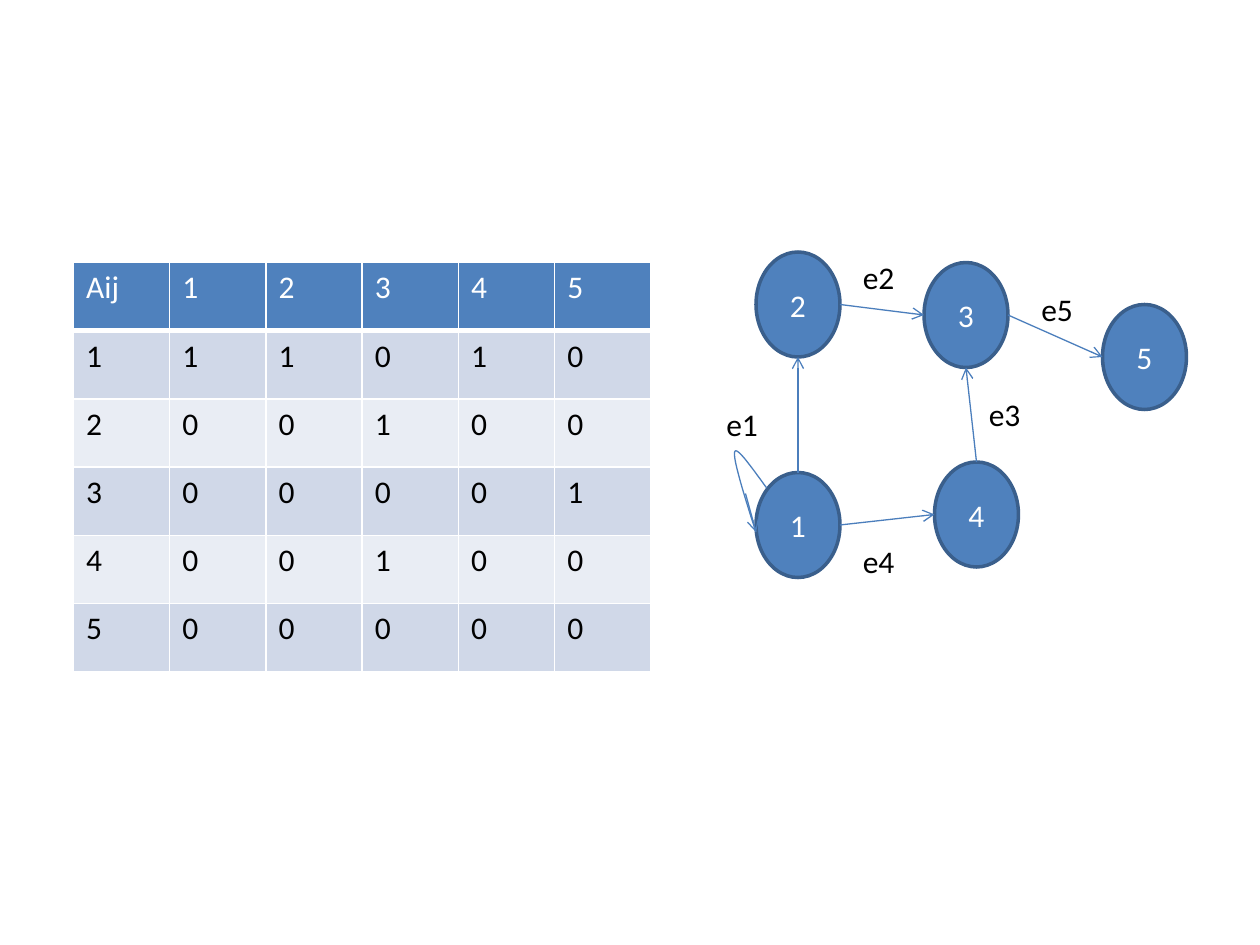
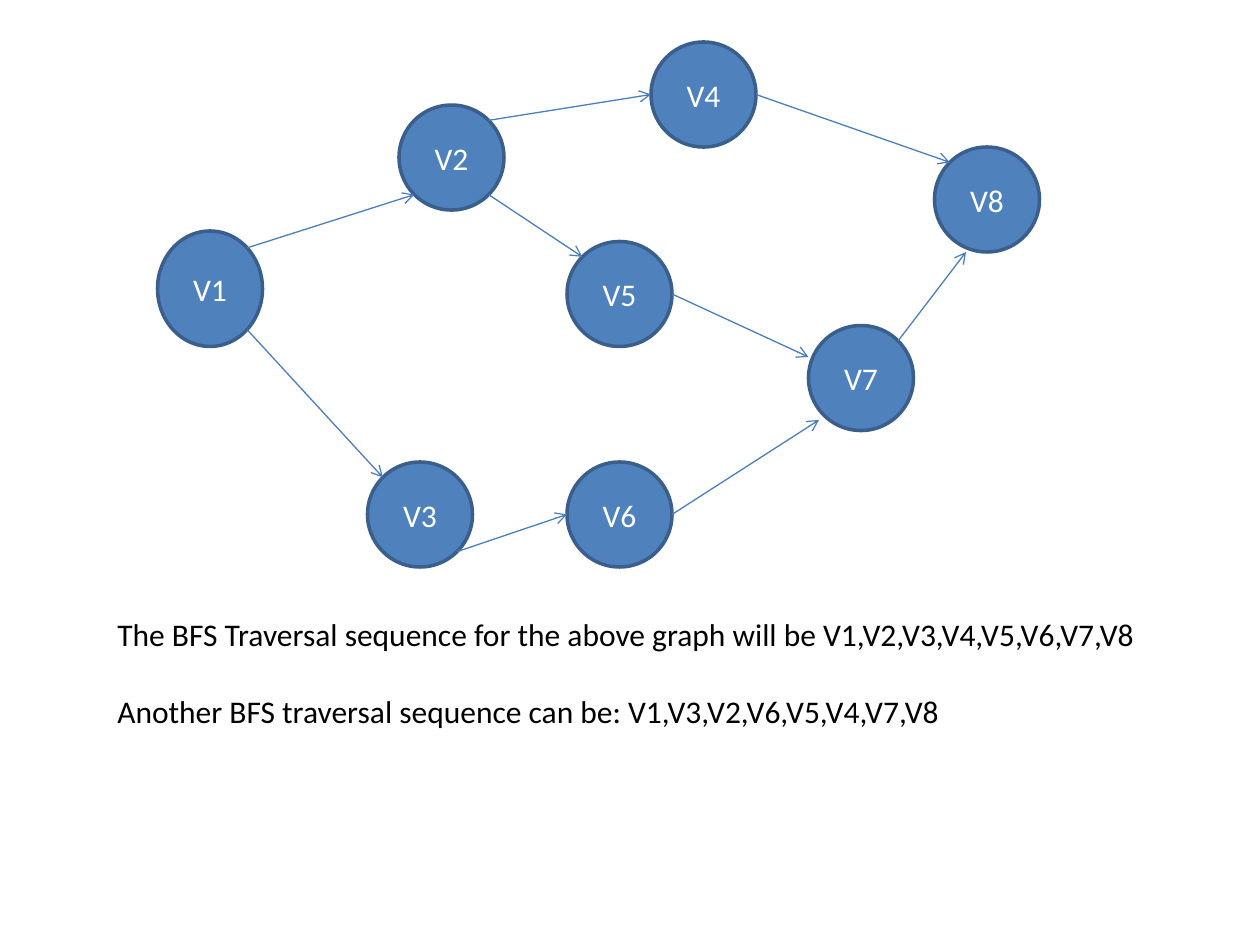
"""Build two slides on directed graphs: a matrix with its graph, and a BFS example."""
import dataclasses
import math
import typing

import lxml.etree
import pptx
import pptx.dml.color
import pptx.enum.shapes
import pptx.enum.text
import pptx.oxml.ns
import pptx.util

Pt = pptx.util.Pt
Point = tuple[float, float]

INK = {
    "node": "4F81BD", "rim": "3A5F8C", "edge": "4B7EBC", "odd": "D0D8E8",
    "even": "E9EDF4", "white": "FFFFFF", "black": "000000",
}
FONT = {"name": "Calibri", "size": Pt(18), "bold": False}
GROW = {"word_wrap": True, "auto_size": pptx.enum.text.MSO_AUTO_SIZE.SHAPE_TO_FIT_TEXT}
MIDDLE = {"word_wrap": True, "vertical_anchor": pptx.enum.text.MSO_ANCHOR.MIDDLE}
DIAG = math.sqrt(0.5)
SIDES = {
    "n": (0, -1), "e": (1, 0), "s": (0, 1), "w": (-1, 0),
    "ne": (DIAG, -DIAG), "se": (DIAG, DIAG), "sw": (-DIAG, DIAG), "nw": (-DIAG, -DIAG),
    "wnw": (-1, -0.4), "wsw": (-0.8, 0.8), "ssw": (-0.4, 1),
}


@dataclasses.dataclass
class Node:
    """An oval vertex of a graph."""
    name: str
    left: float
    top: float
    width: float = 60
    height: float = 60

    def spot(self, side: str) -> Point:
        """Give the point on the named side."""
        across, down = SIDES[side]
        return (self.left + self.width / 2 * (1 + across),
                self.top + self.height / 2 * (1 + down))


@dataclasses.dataclass
class Edge:
    """An arrow from a side of one node to a side of another."""
    start: str
    leave: str
    end: str
    enter: str


@dataclasses.dataclass
class Label:
    """A text box of one or more paragraphs."""
    lines: list[str]
    left: float
    top: float
    width: float = 42
    height: float = 29


def shade(name: str) -> pptx.dml.color.RGBColor:
    """Turn a colour name into a colour."""
    return pptx.dml.color.RGBColor.from_string(INK[name])


def apply(target: typing.Any, values: dict[str, typing.Any]) -> None:
    """Set each format value on the target."""
    for key, value in values.items():
        setattr(target, key, value)


def write(para: typing.Any, text: str, ink: str) -> None:
    """Write one styled run."""
    run = para.add_run()
    run.text = text
    apply(run.font, FONT)
    run.font.color.rgb = shade(ink)


def stroke(line: typing.Any, ink: str, width: float) -> None:
    """Style a line."""
    line.color.rgb = shade(ink)
    line.width = Pt(width)


def add_node(slide: typing.Any, node: Node) -> None:
    """Draw an oval with its name."""
    oval = slide.shapes.add_shape(
        pptx.enum.shapes.MSO_SHAPE.OVAL,
        *map(Pt, (node.left, node.top, node.width, node.height)))
    oval.shadow.inherit = False
    oval.fill.solid()
    oval.fill.fore_color.rgb = shade("node")
    stroke(oval.line, "rim", 2)
    apply(oval.text_frame, MIDDLE)
    para = oval.text_frame.paragraphs[0]
    para.alignment = pptx.enum.text.PP_ALIGN.CENTER
    write(para, node.name, "white")


def add_arrow(slide: typing.Any, start: Point, end: Point) -> None:
    """Draw a thin line with an open head at its end."""
    arrow = slide.shapes.add_connector(
        pptx.enum.shapes.MSO_CONNECTOR.STRAIGHT, *map(Pt, (*start, *end)))
    stroke(arrow.line, "edge", 0.75)
    props = arrow.element.spPr
    line = props.find(pptx.oxml.ns.qn("a:ln"))
    lxml.etree.SubElement(line, pptx.oxml.ns.qn("a:tailEnd"), type="arrow")
    lxml.etree.SubElement(props, pptx.oxml.ns.qn("a:effectLst"))


def add_label(slide: typing.Any, label: Label) -> None:
    """Draw a text box with a line's gap between paragraphs."""
    box = slide.shapes.add_textbox(
        *map(Pt, (label.left, label.top, label.width, label.height)))
    frame = box.text_frame
    apply(frame, GROW)
    for index, text in enumerate(label.lines):
        para = frame.add_paragraph() if index else frame.paragraphs[0]
        if index:
            para.space_before = Pt(22)
        write(para, text, "black")


def add_graph(slide: typing.Any, nodes: list[Node], edges: list[Edge],
              labels: list[Label]) -> None:
    """Draw nodes, labels and arrows in turn."""
    known = {node.name: node for node in nodes}
    for node in nodes:
        add_node(slide, node)
    for label in labels:
        add_label(slide, label)
    for edge in edges:
        add_arrow(slide, known[edge.start].spot(edge.leave), known[edge.end].spot(edge.enter))


def bend(knots: list[Point], steps: int = 16) -> list[Point]:
    """Give points along a cubic curve, without its start."""
    points = []
    for step in range(1, steps + 1):
        part = step / steps
        parts = [math.comb(3, k) * part**k * (1 - part)**(3 - k) for k in range(4)]
        points.append(tuple(sum(w * knot[axis] for w, knot in zip(parts, knots))
                            for axis in (0, 1)))
    return points


def add_loop(slide: typing.Any, knots: list[Point]) -> None:
    """Draw an open curve of two joined cubic pieces."""
    pen = slide.shapes.build_freeform(*map(Pt, knots[0]))
    points = bend(knots[:4]) + bend(knots[3:])
    pen.add_line_segments([(Pt(x), Pt(y)) for x, y in points], close=False)
    curve = pen.convert_to_shape()
    curve.shadow.inherit = False
    curve.fill.background()
    stroke(curve.line, "edge", 0.75)


def add_rule(cell: typing.Any, side: str, width: float) -> None:
    """Draw one white cell border."""
    props = cell._tc.get_or_add_tcPr()
    line = lxml.etree.SubElement(props, pptx.oxml.ns.qn(f"a:ln{side}"), w=str(Pt(width)))
    fill = lxml.etree.SubElement(line, pptx.oxml.ns.qn("a:solidFill"))
    lxml.etree.SubElement(fill, pptx.oxml.ns.qn("a:srgbClr"), val=INK["white"])


def add_matrix(slide: typing.Any, rows: list[list[str]]) -> None:
    """Draw the banded matrix table."""
    frame = slide.shapes.add_table(
        len(rows), len(rows[0]), *map(Pt, (42, 150, 330, 234)))
    for y, row in enumerate(rows):
        for x, text in enumerate(row):
            cell = frame.table.cell(y, x)
            for side in "LRTB":
                add_rule(cell, side, 3 if y == 0 and side == "B" else 1)
            cell.fill.solid()
            band = "odd" if y % 2 else "even"
            cell.fill.fore_color.rgb = shade(band if y else "node")
            write(cell.text_frame.paragraphs[0], text, "black" if y else "white")


def main() -> None:
    """Build and save the deck."""
    deck = pptx.Presentation()
    apply(deck, {"slide_width": Pt(720), "slide_height": Pt(540)})
    blank = deck.slide_layouts[6]

    slide = deck.slides.add_slide(blank)
    links = ["11010", "00100", "00001", "00100", "00000"]
    rows = [["Aij", *"12345"]]
    rows += [[str(index), *link] for index, link in enumerate(links, 1)]
    add_matrix(slide, rows)
    spots = [("2", 432, 144), ("5", 630, 174), ("4", 534, 264), ("3", 528, 150), ("1", 432, 270)]
    names = [("e1", 408, 228), ("e4", 486, 306), ("e3", 558, 222), ("e5", 588, 162),
             ("e2", 486, 144)]
    add_graph(
        slide,
        [Node(*spot, width=48) for spot in spots],
        [Edge(*ends.split()) for ends in (
            "1 n 2 s", "2 e 3 w", "1 e 4 w", "4 n 3 s", "3 e 5 w")],
        [Label([name], left, top) for name, left, top in names])
    tip = (432, 304)
    add_loop(slide, [(438, 278.7), (429, 266.4), (420.5, 254.2), (419.8, 258.5),
                     (418.3, 262.8), tip, tip])
    add_arrow(slide, (426, 282), tip)

    slide = deck.slides.add_slide(blank)
    add_graph(
        slide,
        [Node("V2", 228, 60), Node("V1", 90, 132, height=66), Node("V4", 372, 24),
         Node("V3", 210, 264), Node("V6", 324, 264), Node("V5", 324, 138),
         Node("V7", 462, 186), Node("V8", 534, 84)],
        [Edge(*ends.split()) for ends in (
            "V1 ne V2 sw", "V1 se V3 nw", "V2 ne V4 w", "V2 se V5 nw", "V4 e V8 nw",
            "V5 e V7 wnw", "V3 se V6 w", "V6 e V7 wsw", "V7 ne V8 ssw")],
        [Label(["The BFS Traversal sequence for the above graph will be "
                "V1,V2,V3,V4,V5,V6,V7,V8",
                "Another BFS traversal sequence can be: V1,V3,V2,V6,V5,V4,V7,V8"],
               60, 348, 606, 73)])
    deck.save("out.pptx")


main()
